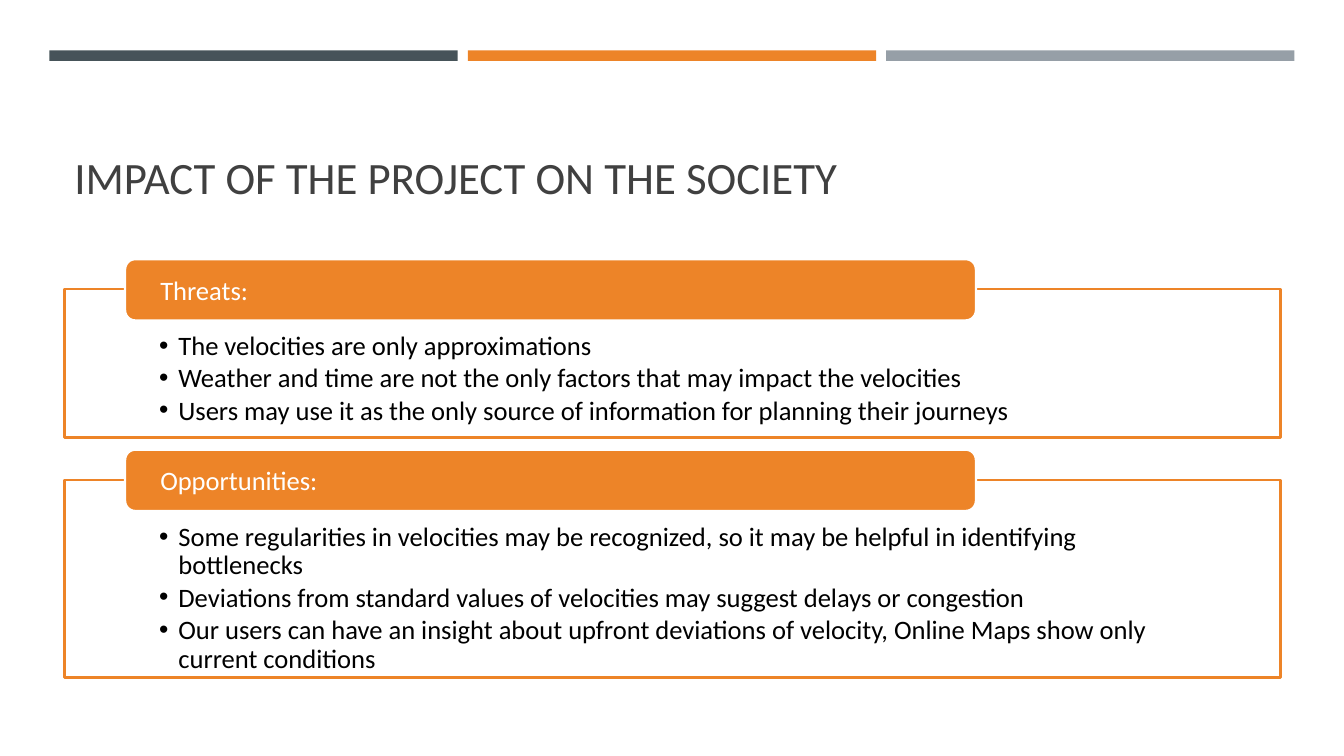
from dataclasses import dataclass
from pptx import Presentation, util as u
from pptx.dml import color
from pptx.enum import shapes, text
from pptx.oxml import ns
from lxml import etree


@dataclass(frozen=True)
class Theme:
    font: str = "Calibri"
    slate: str = "465359"
    orange: str = "ED8428"
    gray: str = "969FA7"
    ink: str = "404040"
    black: str = "000000"
    white: str = "FFFFFF"
    title: int = 32
    body: int = 19
    line: float = 1.75


T = Theme()
WIDE, HIGH = u.Inches(13.33), u.Inches(7.5)
KIND = shapes.MSO_SHAPE
PANELS = [
    (38.27, 19.6, "Threats:", [
        "The velocities are only approximations",
        "Weather and time are not the only factors that may impact the velocities",
        "Users may use it as the only source of information for planning their journeys",
    ]),
    (63.47, 26.13, "Opportunities:", [
        "Some regularities in velocities may be recognized, so it may be helpful in identifying bottlenecks",
        "Deviations from standard values of velocities may suggest delays or congestion",
        "Our users can have an insight about upfront deviations of velocity, Online Maps show only current conditions",
    ]),
]


def across(share):
    return round(WIDE * share / 100)


def down(share):
    return round(HIGH * share / 100)


def place(x, y, w, h):
    return across(x), down(y), across(w), down(h)


def rgb(code):
    return color.RGBColor.from_string(code)


def block(slide, kind, area, fill, edge=None):
    shape = slide.shapes.add_shape(kind, *place(*area))
    shape.shadow.inherit = False
    shape.fill.solid()
    shape.fill.fore_color.rgb = rgb(fill)
    if edge:
        shape.line.color.rgb = rgb(edge)
        shape.line.width = u.Pt(T.line)
    else:
        shape.line.fill.background()
    return shape


def write(shape, words, size, tint, anchor, pads=None):
    frame = shape.text_frame
    frame.text = words
    frame.word_wrap = True
    frame.vertical_anchor = anchor
    if pads:
        side, top, base = pads
        frame.margin_left = frame.margin_right = across(side)
        frame.margin_top, frame.margin_bottom = down(top), down(base)
    for para in frame.paragraphs:
        para.alignment = text.PP_ALIGN.LEFT
        for run in para.runs:
            run.font.name = T.font
            run.font.size = u.Pt(size)
            run.font.color.rgb = rgb(tint)
    return frame.paragraphs


def bullet(para):
    para.line_spacing = 0.9
    para.space_after = u.Pt(2.5)
    props = para._p.get_or_add_pPr()
    hang = u.Inches(0.19)
    props.set("marL", str(hang))
    props.set("indent", str(-hang))
    etree.SubElement(props, ns.qn("a:buFont"), typeface="Arial")
    etree.SubElement(props, ns.qn("a:buChar"), char="•")


def bars(slide):
    for i, tint in enumerate((T.slate, T.orange, T.gray)):
        block(slide, KIND.RECTANGLE, (3.68 + 31.13 * i, 6.67, 30.38, 1.4), tint)


def title(slide, words):
    box = slide.shapes.add_textbox(*place(4.8, 10.27, 90.47, 17.33))
    write(box, words, T.title, T.ink, text.MSO_ANCHOR.BOTTOM)


def panel(slide, top, high, head, points):
    body = block(slide, KIND.RECTANGLE, (4.8, top, 90.47, high), T.white, T.orange)
    for para in write(body, "\n".join(points), T.body, T.black,
                      text.MSO_ANCHOR.TOP, (7.05, 5.73, 2)):
        bullet(para)
    tab = block(slide, KIND.ROUNDED_RECTANGLE, (9.3, top - 4, 63.32, 8.13), T.orange, T.white)
    write(tab, head, T.body, T.white, text.MSO_ANCHOR.MIDDLE, (2.4, 0, 0))


def main():
    deck = Presentation()
    deck.slide_width, deck.slide_height = WIDE, HIGH
    slide = deck.slides.add_slide(deck.slide_layouts[6])
    bars(slide)
    title(slide, "IMPACT OF THE PROJECT ON THE SOCIETY")
    for item in PANELS:
        panel(slide, *item)
    deck.save("out.pptx")


if __name__ == "__main__":
    main()
